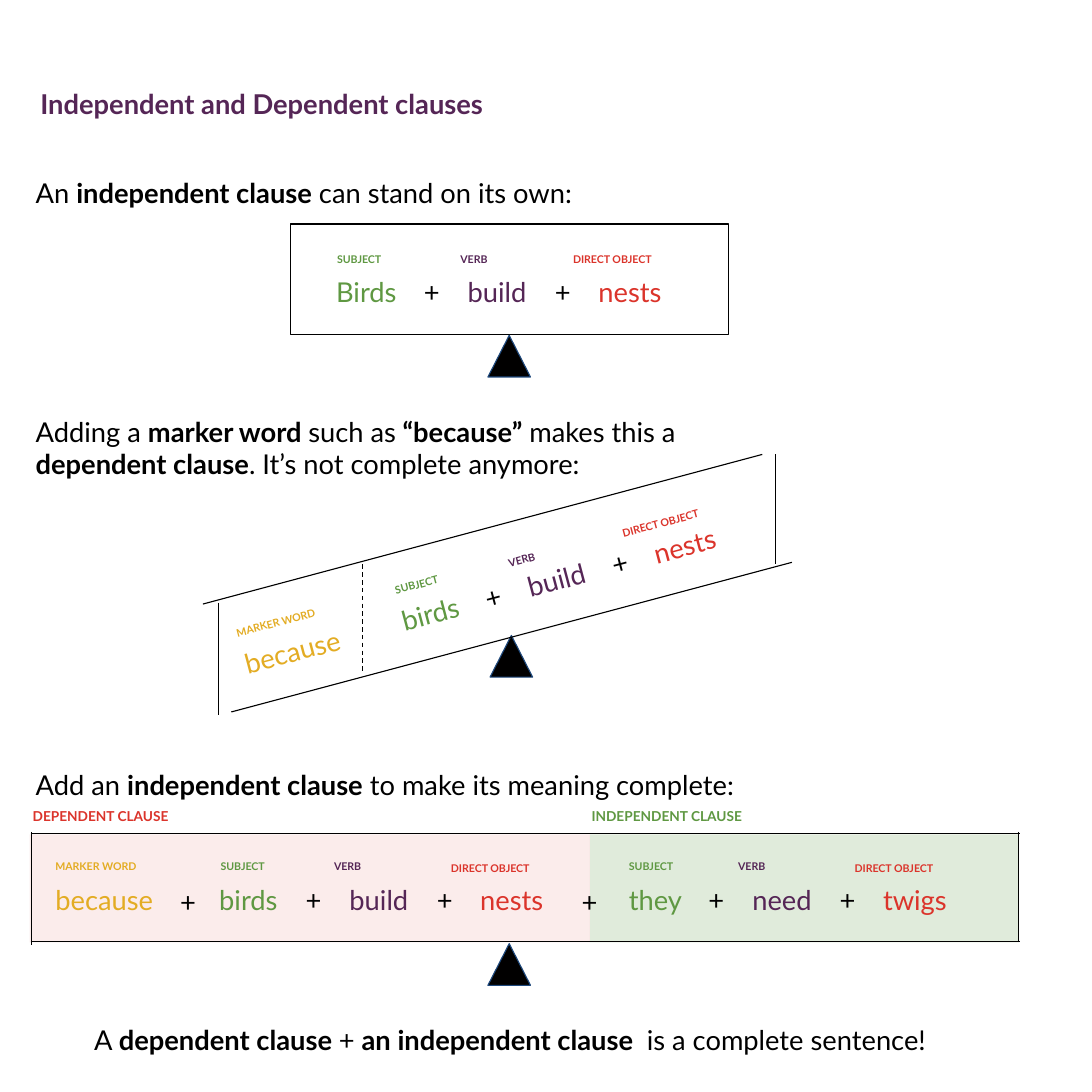
from dataclasses import dataclass
from typing import Optional

from lxml.etree import SubElement
from pptx import Presentation
from pptx.dml.color import RGBColor
from pptx.enum.dml import MSO_LINE
from pptx.enum.shapes import MSO_CONNECTOR, MSO_SHAPE
from pptx.enum.text import MSO_ANCHOR, PP_ALIGN
from pptx.oxml.ns import qn
from pptx.util import Cm, Pt

COLOURS = {
    "subject": "5F9842", "verb": "552656", "object": "DB342B", "marker": "E3AC23",
    "black": "000000", "fulcrum": "010000", "fulcrum edge": "1F497D",
}
FRAME = {
    "word_wrap": True, "vertical_anchor": MSO_ANCHOR.TOP,
    "margin_left": Cm(0.25), "margin_right": Cm(0.25),
    "margin_top": Cm(0.25), "margin_bottom": Cm(0.25),
}
TILT = 345
TAB_STEPS = (0, 1.02, 3.05, 4.06)  # plus, verb, plus, object after the first tab


@dataclass
class Span:
    text: str
    colour: str = "black"
    bold: bool = False


@dataclass
class TextBox:
    left: float
    top: float
    width: float
    height: float
    spans: list[Span]
    size: float = 18
    rotation: float = 0
    align: PP_ALIGN = PP_ALIGN.LEFT
    tabs: tuple[float, ...] = ()


@dataclass
class Panel:
    left: float
    top: float
    width: float
    height: float
    fill: Optional[str] = None
    opacity: int = 100
    edge: Optional[str] = None
    kind: MSO_SHAPE = MSO_SHAPE.RECTANGLE


@dataclass
class Rule:
    start: tuple[float, float]
    end: tuple[float, float]
    dashed: bool = False


@dataclass
class Clause:
    left: float
    top: float
    words: tuple[str, str, str]
    first_tab: float
    labels: tuple[tuple[float, float], ...]  # subject, verb, direct object
    rotation: float = 0


def colour(name: str) -> RGBColor:
    return RGBColor.from_string(COLOURS[name])


def set_all(target, values: dict) -> None:
    for name, value in values.items():
        setattr(target, name, value)


def sentence(text: str) -> list[Span]:
    """Text between ** marks is bold."""
    return [Span(part, bold=i % 2 == 1) for i, part in enumerate(text.split("**")) if part]


def add_text(page, item: TextBox) -> None:
    box = page.shapes.add_textbox(Cm(item.left), Cm(item.top), Cm(item.width), Cm(item.height))
    box.rotation = item.rotation
    set_all(box.text_frame, FRAME)
    para = box.text_frame.paragraphs[0]
    para.alignment = item.align
    if item.tabs:
        tab_list = SubElement(para._p.get_or_add_pPr(), qn("a:tabLst"))
        for stop in item.tabs:
            SubElement(tab_list, qn("a:tab"), pos=str(Cm(stop)), algn="l")
    for part in item.spans:
        span = para.add_run()
        span.text = part.text
        set_all(span.font, {"name": "Lato", "size": Pt(item.size), "bold": part.bold})
        span.font.color.rgb = colour(part.colour)


def add_panel(page, item: Panel) -> None:
    shape = page.shapes.add_shape(
        item.kind, Cm(item.left), Cm(item.top), Cm(item.width), Cm(item.height))
    shape.shadow.inherit = False
    if item.fill:
        shape.fill.solid()
        shape.fill.fore_color.rgb = colour(item.fill)
        if item.opacity < 100:
            tint = shape._element.spPr.find(".//" + qn("a:srgbClr"))
            SubElement(tint, qn("a:alpha"), val=str(item.opacity * 1000))
    else:
        shape.fill.background()
    if item.edge:
        shape.line.color.rgb = colour(item.edge)
        shape.line.width = Pt(0.75)
    else:
        shape.line.fill.background()


def add_rule(page, item: Rule) -> None:
    line = page.shapes.add_connector(
        MSO_CONNECTOR.STRAIGHT, *map(Cm, item.start), *map(Cm, item.end))
    line.line.color.rgb = colour("black")
    line.line.width = Pt(0.75)
    if item.dashed:
        line.line.dash_style = MSO_LINE.DASH
    SubElement(line._element.spPr, qn("a:effectLst"))


def add_label(page, left: float, top: float, width: float, text: str, role: str,
              rotation: float = 0, size: float = 7) -> None:
    add_text(page, TextBox(left, top, width, 0.74, [Span(text, role, True)], size, rotation))


def add_clause(page, clause: Clause) -> None:
    subject, verb, target = clause.words
    spans = [Span(subject, "subject"), Span("\t+\t"), Span(verb, "verb"),
             Span("\t+\t"), Span(target, "object")]
    tabs = tuple(clause.first_tab + step for step in TAB_STEPS)
    add_text(page, TextBox(clause.left, clause.top, 10.46, 1.57, spans,
                           rotation=clause.rotation, tabs=tabs))
    roles = (("SUBJECT", "subject", 1.68), ("VERB", "verb", 1.68),
             ("DIRECT OBJECT", "object", 3.4))
    for (left, top), (text, role, width) in zip(clause.labels, roles):
        add_label(page, left, top, width, text, role, clause.rotation)


PANELS = [
    Panel(13.72, 19.41, 9.98, 2.51, "subject", 19),
    Panel(0.69, 19.41, 13.03, 2.51, "object", 9),
    Panel(6.76, 5.21, 10.19, 2.57, edge="black"),
] + [
    Panel(left, top, 0.99, 0.97, "fulcrum", edge="fulcrum edge",
          kind=MSO_SHAPE.ISOSCELES_TRIANGLE)
    for left, top in ((11.35, 7.8), (11.4, 14.78), (11.35, 21.95))
]
RULES = [
    # Tilted beam
    Rule((4.72, 14.05), (17.73, 10.57)),
    Rule((18.03, 10.57), (18.03, 13.11)),
    Rule((5.38, 16.56), (18.42, 13.08)),
    Rule((8.43, 13.13), (8.43, 15.67), dashed=True),
    Rule((5.08, 14.02), (5.08, 16.64)),
    # Level beam
    Rule((0.71, 19.38), (23.72, 19.38)),
    Rule((23.7, 19.35), (23.7, 21.92)),
    Rule((0.71, 21.89), (23.72, 21.89)),
    Rule((0.74, 19.35), (0.74, 21.97)),
]
TEXTS = [
    TextBox(0.69, 1.78, 12.9, 1.68,
            [Span("Independent and Dependent clauses", "verb", True)]),
    TextBox(0.58, 3.86, 13.11, 0.94,
            sentence("An **independent clause** can stand on its own:")),
    TextBox(0.58, 9.4, 16.05, 0.94, sentence(
        "Adding a **marker word **such as** “because”** makes this a "
        "**dependent clause**. It’s not complete anymore:")),
    TextBox(0.58, 17.63, 18.64, 0.94,
            sentence("Add an **independent clause** to make its meaning complete:")),
    TextBox(0.36, 23.55, 23.01, 0.94, sentence(
        "A **dependent clause **+ **an independent clause ** is a complete sentence!"),
        align=PP_ALIGN.CENTER),
    TextBox(5.44, 14.43, 3.4, 1.57, [Span("because", "marker")], rotation=TILT),
    TextBox(1.04, 20.29, 3.4, 0.97, [Span("because", "marker")]),
    TextBox(3.94, 20.35, 1.68, 0.97, [Span("+")]),
    TextBox(13.28, 20.35, 1.68, 0.97, [Span("+")]),
]
CLAUSES = [
    Clause(7.57, 6.15, ("Birds", "build", "nests"), 2.04,
           ((7.59, 5.74), (10.46, 5.74), (13.08, 5.74))),
    Clause(8.97, 12.52, ("birds", "build", "nests"), 2.01,
           ((8.94, 13.28), (11.58, 12.65), (14.2, 11.73)), TILT),
    Clause(4.85, 20.29, ("birds", "build", "nests"), 2.01,
           ((4.88, 19.86), (7.52, 19.86), (10.24, 19.89))),
    Clause(14.38, 20.29, ("they", "need", "twigs"), 1.85,
           ((14.38, 19.86), (16.92, 19.86), (19.63, 19.89))),
]


def main() -> None:
    deck = Presentation()
    set_all(deck, {"slide_width": Cm(25.4), "slide_height": Cm(25.4)})
    page = deck.slides.add_slide(deck.slide_layouts[6])

    # Beams and fulcrums
    for panel in PANELS:
        add_panel(page, panel)
    for rule in RULES:
        add_rule(page, rule)

    # Sentences and clauses
    for text in TEXTS:
        add_text(page, text)
    for clause in CLAUSES:
        add_clause(page, clause)

    # Marker and clause labels
    add_label(page, 5.23, 14.1, 3, "MARKER WORD", "marker", TILT)
    add_label(page, 1.04, 19.86, 3, "MARKER WORD", "marker")
    add_label(page, 0.51, 18.59, 4.57, "DEPENDENT CLAUSE", "object", size=9)
    add_label(page, 13.51, 18.59, 4.57, "INDEPENDENT CLAUSE", "subject", size=9)
    deck.save("out.pptx")


if __name__ == "__main__":
    main()
